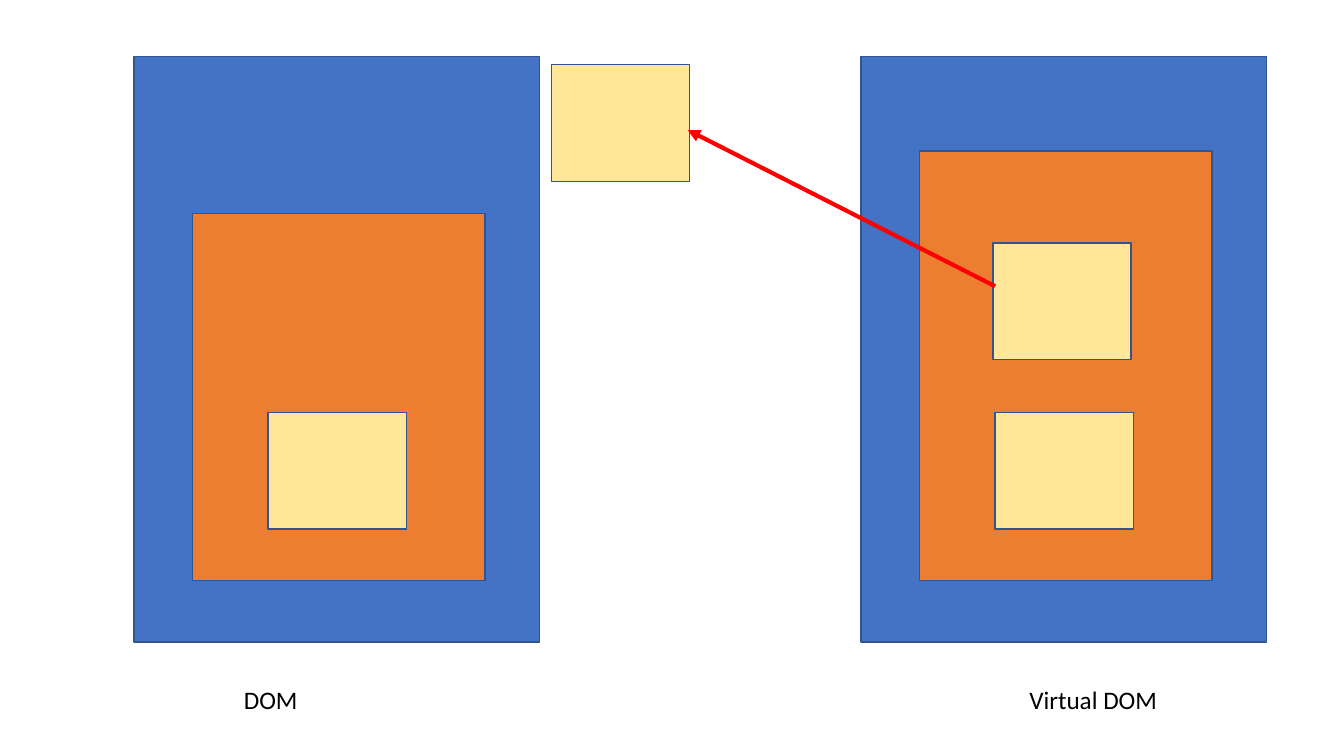
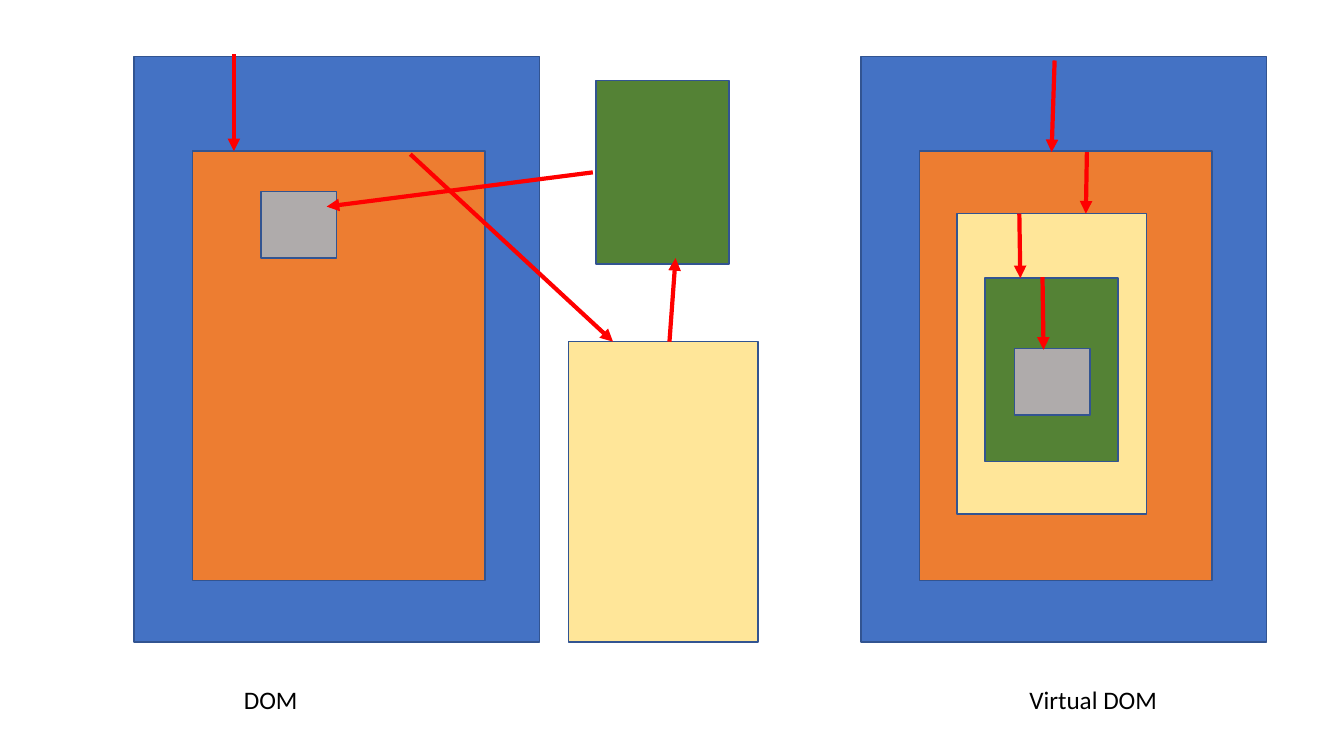
import pptx
import pptx.dml.color
import pptx.enum.shapes
import pptx.enum.text
import pptx.oxml.ns
import pptx.util
from lxml import etree

Inches = pptx.util.Inches
RGBColor = pptx.dml.color.RGBColor

BLUE = RGBColor(0x44, 0x72, 0xC4)
ORANGE = RGBColor(0xED, 0x7D, 0x31)
YELLOW = RGBColor(0xFF, 0xE6, 0x99)
GREEN = RGBColor(0x54, 0x82, 0x35)
GRAY = RGBColor(0xAF, 0xAB, 0xAB)
OUTLINE = RGBColor(0x32, 0x54, 0x91)
RED = RGBColor(0xFF, 0x00, 0x00)
BLACK = RGBColor(0x00, 0x00, 0x00)

# Left edges of the DOM and virtual DOM trees, and the inset of their children
DOM_LEFT, VIRTUAL_LEFT = 1.33, 8.54
ROOT_TOP, ROOT_WIDTH, ROOT_HEIGHT = 0.56, 4.02, 5.81
CHILD_INSET, CHILD_WIDTH, CHILD_BOTTOM = 0.58, 2.9, 5.76

# Each label: text, left, width
LABELS = [("DOM", 2.32, 0.74), ("Virtual DOM", 10.11, 1.48)]

# Node kinds: colour, width, height
ITEM = (YELLOW, 1.37, 1.16)
PANEL = (YELLOW, 1.88, 2.98)
GROUP = (GREEN, 1.32, 1.82)
LEAF = (GRAY, 0.75, 0.66)

# Per slide: tops of the two orange children, nodes (kind, left, top),
# and arrows (from x, from y, to x, to y)
SLIDES = [
    {
        "child_tops": (2.12, 1.5),
        "nodes": [
            (ITEM, 5.47, 0.64),
            (ITEM, 2.66, 4.09),
            (ITEM, 9.85, 2.41),
            (ITEM, 9.87, 4.09),
        ],
        "arrows": [(9.87, 2.84, 6.82, 1.29)],
    },
    {
        "child_tops": (1.5, 1.5),
        "nodes": [
            (LEAF, 2.59, 1.9),
            (PANEL, 9.49, 2.12),
            (PANEL, 5.64, 3.39),
            (GROUP, 9.77, 2.76),
            (GROUP, 5.91, 0.8),
            (LEAF, 10.06, 3.46),
        ],
        "arrows": [
            (10.46, 0.6, 10.43, 1.51),
            (10.78, 1.51, 10.77, 2.12),
            (10.11, 2.12, 10.12, 2.76),
            (10.34, 2.75, 10.35, 3.47),
            (2.32, 0.54, 2.32, 1.5),
            (4.07, 1.53, 6.08, 3.39),
            (6.64, 3.39, 6.7, 2.56),
            (5.88, 1.71, 3.24, 2.05),
        ],
    },
]


def add_box(slide, color, left, top, width, height):
    box = slide.shapes.add_shape(
        pptx.enum.shapes.MSO_SHAPE.RECTANGLE,
        Inches(left), Inches(top), Inches(width), Inches(height))
    box.shadow.inherit = False
    box.fill.solid()
    box.fill.fore_color.rgb = color
    box.line.color.rgb = OUTLINE
    box.line.width = pptx.util.Pt(1)


def add_arrow(slide, *ends):
    arrow = slide.shapes.add_connector(
        pptx.enum.shapes.MSO_CONNECTOR.STRAIGHT, *map(Inches, ends))
    arrow.line.color.rgb = RED
    arrow.line.width = pptx.util.Pt(3)
    qn = pptx.oxml.ns.qn
    properties = arrow.element.find(qn("p:spPr"))
    etree.SubElement(properties.find(qn("a:ln")), qn("a:tailEnd"), type="triangle")
    etree.SubElement(properties, qn("a:effectLst"))


presentation = pptx.Presentation()
presentation.slide_width = Inches(13.33)
presentation.slide_height = Inches(7.5)
blank_layout = presentation.slide_layouts[6]

for content in SLIDES:
    slide = presentation.slides.add_slide(blank_layout)

    for left, child_top in zip((DOM_LEFT, VIRTUAL_LEFT), content["child_tops"]):
        add_box(slide, BLUE, left, ROOT_TOP, ROOT_WIDTH, ROOT_HEIGHT)
        add_box(slide, ORANGE, left + CHILD_INSET, child_top,
                CHILD_WIDTH, CHILD_BOTTOM - child_top)

    for (color, width, height), left, top in content["nodes"]:
        add_box(slide, color, left, top, width, height)

    for text, left, width in LABELS:
        label = slide.shapes.add_textbox(
            Inches(left), Inches(6.74), Inches(width), Inches(0.4))
        label.text_frame.word_wrap = False
        label.text_frame.auto_size = pptx.enum.text.MSO_AUTO_SIZE.SHAPE_TO_FIT_TEXT
        paragraph = label.text_frame.paragraphs[0]
        paragraph.text = text
        paragraph.font.name = "Calibri"
        paragraph.font.size = pptx.util.Pt(18)
        paragraph.font.color.rgb = BLACK

    for ends in content["arrows"]:
        add_arrow(slide, *ends)

presentation.save("out.pptx")
